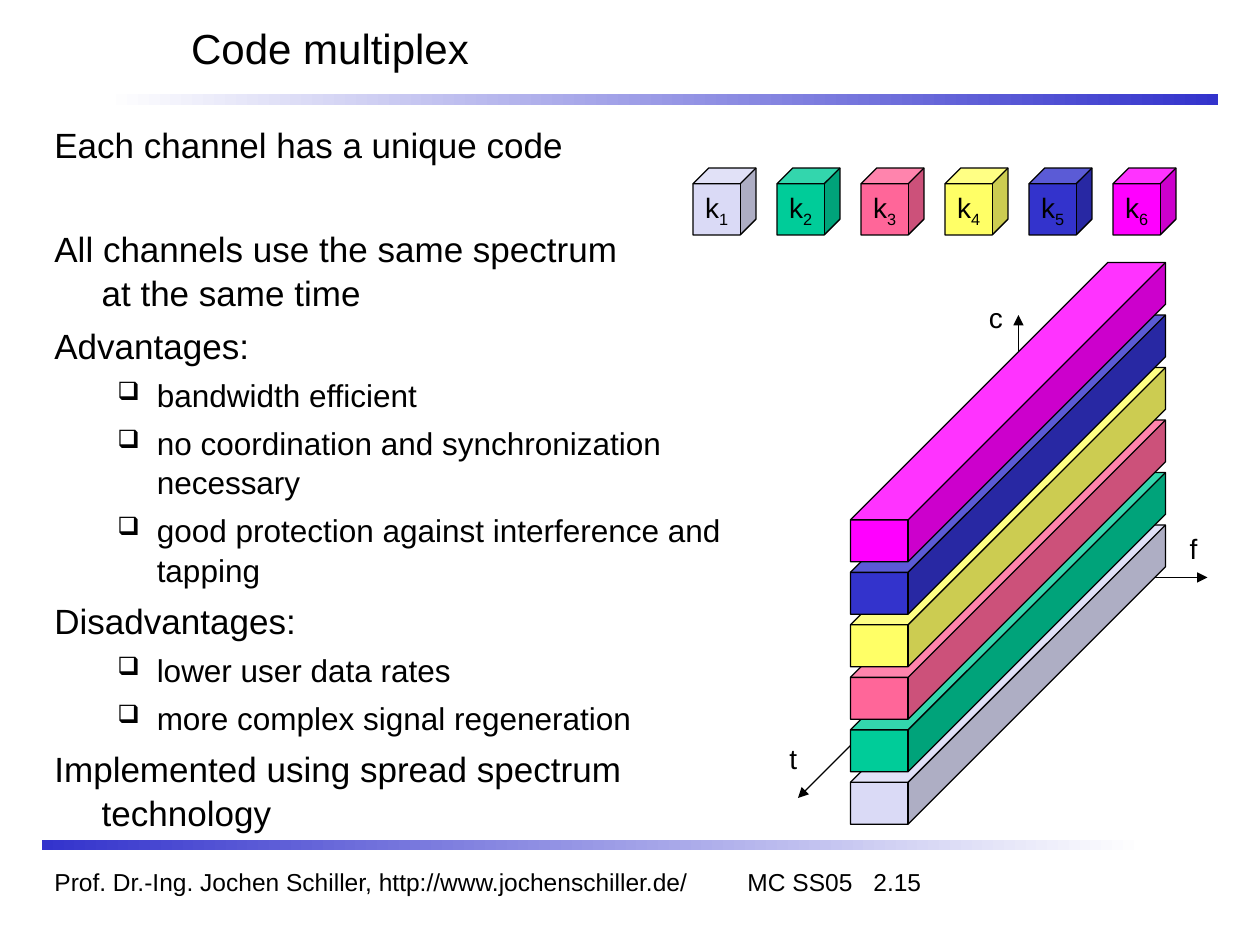
import pptx
import pptx.util
import pptx.dml.color
import pptx.enum.shapes
import pptx.enum.text
import lxml.etree
from dataclasses import dataclass

TITLE = "Code multiplex"
POINTS = [  # level, text
    (0, "Each channel has a unique code"),
    (0, "All channels use the same spectrum \nat the same time"),
    (0, "Advantages:"),
    (1, "bandwidth efficient"),
    (1, "no coordination and synchronization necessary"),
    (1, "good protection against interference and tapping"),
    (0, "Disadvantages:"),
    (1, "lower user data rates"),
    (1, "more complex signal regeneration"),
    (0, "Implemented using spread spectrum technology"),
]
FOOT = "Prof. Dr.-Ing. Jochen Schiller, http://www.jochenschiller.de/\tMC SS05\t2.15"
TABS = [(520, "l"), (740, "r")]
CODES = ["DADAF6", "00CC99", "FF6699", "FFFF66", "3333CC", "FF00FF"]
HUB = (776, 440)
AXES = [  # name, tip, label box
    ("t", (608, 608), (592, 560, 25, 35)),
    ("c", (776, 240), (744, 224, 30, 35)),
    ("f", (920, 440), (897, 400, 25, 35)),
]
BARS = [((80, 72, 848, 8), ("3333CC", "FFFFFF")),
        ((32, 640, 840, 8), ("FFFFFF", "3333CC"))]


@dataclass
class Theme:
    font: str = "Arial"
    ink: str = "000000"
    title: int = 24
    levels: tuple = (20, 18)
    label: int = 16
    foot: int = 14
    line: float = 0.75
    pitch: float = 1.05


theme = Theme()
Kind = pptx.enum.shapes.MSO_SHAPE
Align = pptx.enum.text.PP_ALIGN
Anchor = pptx.enum.text.MSO_ANCHOR
Pt = pptx.util.Pt


def px(n):
    return pptx.util.Emu(int(n * 9525))


def rgb(code):
    return pptx.dml.color.RGBColor.from_string(code)


def sub(node, tag, **attrs):
    return lxml.etree.SubElement(node, pptx.oxml.ns.qn("a:" + tag), attrs)


def write(frame, text, size, low="", align=Align.LEFT, before=0, pitch=None,
          left=0, hang=0, bullet="", tabs=()):
    """Add one paragraph; low is a subscript that follows the text."""
    first = frame.paragraphs[0]
    para = frame.add_paragraph() if first.runs else first
    props = para._p.get_or_add_pPr()
    props.set("marL", str(px(left)))
    props.set("indent", str(px(-hang)))
    if bullet:
        sub(sub(props, "buClr"), "srgbClr", val=theme.ink)
        sub(props, "buSzPct", val="80000")
        sub(props, "buChar", char=bullet)
    else:
        sub(props, "buNone")
    if tabs:
        stops = sub(props, "tabLst")
        for pos, side in tabs:
            sub(stops, "tab", pos=str(px(pos)), algn=side)
    para.alignment = align
    para.space_before = Pt(before)
    if pitch:
        para.line_spacing = pitch

    def run(part):
        piece = para.add_run()
        piece.text = part
        piece.font.name, piece.font.size = theme.font, Pt(size)
        piece.font.color.rgb = rgb(theme.ink)
        return piece

    for i, part in enumerate(text.split("\n")):
        if i:
            para.add_line_break()
        run(part)
    if low:
        run(low)._r.get_or_add_rPr().set("baseline", "-25000")


def box(slide, area, wrap=True):
    frame = slide.shapes.add_textbox(*map(px, area)).text_frame
    frame.word_wrap = wrap
    return frame


def bar(slide, area, ends):
    shape = slide.shapes.add_shape(Kind.RECTANGLE, *map(px, area))
    shape.shadow.inherit = False
    shape.line.fill.background()
    shape.fill.gradient()
    shape.fill.gradient_angle = 180
    for stop, code in zip(shape.fill.gradient_stops, ends):
        stop.color.rgb = rgb(code)


def cube(slide, area, code, depth):
    shape = slide.shapes.add_shape(Kind.CUBE, *map(px, area))
    shape.shadow.inherit = False
    shape.adjustments[0] = depth
    shape.fill.solid()
    shape.fill.fore_color.rgb = rgb(code)
    shape.line.color.rgb = rgb(theme.ink)
    shape.line.width = Pt(theme.line)
    return shape.text_frame


def axis(slide, tip):
    line = slide.shapes.add_connector(
        pptx.enum.shapes.MSO_CONNECTOR.STRAIGHT, *map(px, HUB + tip))
    line.line.color.rgb = rgb(theme.ink)
    line.line.width = Pt(theme.line)
    sub(line.line._get_or_add_ln(), "tailEnd", type="triangle")
    sub(line._element.spPr, "effectLst")


def main():
    deck = pptx.Presentation()
    deck.slide_width, deck.slide_height = px(960), px(720)
    slide = deck.slides.add_slide(deck.slide_layouts[5])

    head = slide.shapes.title
    head.left, head.top, head.width, head.height = map(px, (136, 0, 808, 72))
    head.text_frame.vertical_anchor = Anchor.MIDDLE
    write(head.text_frame, TITLE, theme.title)

    for area, ends in BARS:
        bar(slide, area, ends)
    write(box(slide, (32, 656, 840, 32)), FOOT, theme.foot, tabs=TABS)
    for name, tip, area in AXES:
        axis(slide, tip)

    body = box(slide, (32, 88, 571, 544))
    for i, (level, text) in enumerate(POINTS):
        look = (dict(left=78, hang=30, bullet="❑", before=4.5) if level
                else dict(left=36, hang=36, before={0: 0, 1: 34}.get(i, 5)))
        write(body, text, theme.levels[level], pitch=theme.pitch, **look)

    for i, code in enumerate(CODES):
        cube(slide, (648, 400 - 40 * i, 240, 228), code, 0.86)
    for i, code in enumerate(CODES):
        frame = cube(slide, (528 + 64 * i, 128, 48, 51), code, 0.25)
        frame.word_wrap = False
        frame.vertical_anchor = Anchor.MIDDLE
        write(frame, "k", theme.label, low=str(i + 1), align=Align.CENTER)
    for name, tip, area in AXES:
        write(box(slide, area, wrap=False), name, theme.label)

    deck.save("out.pptx")


if __name__ == "__main__":
    main()
